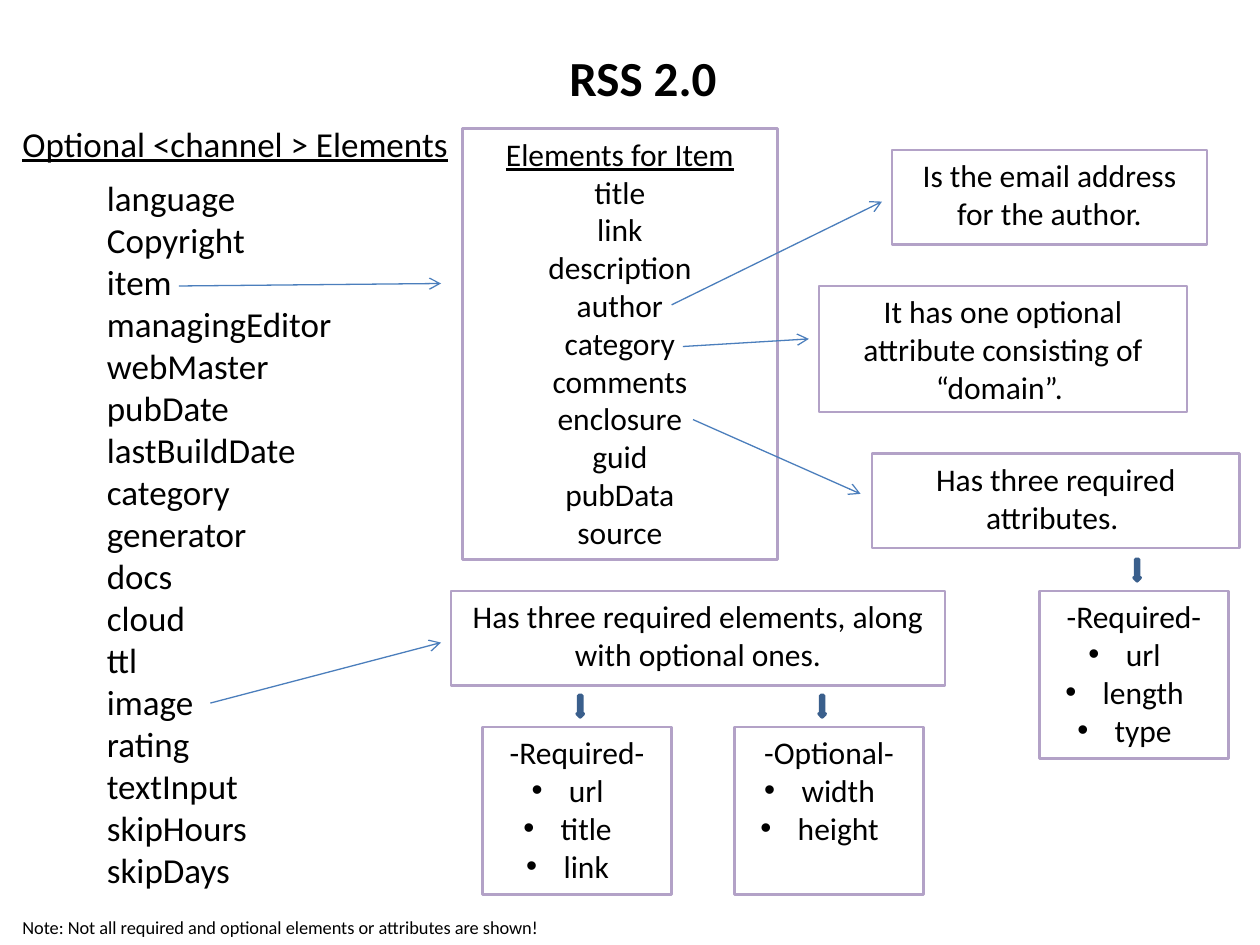
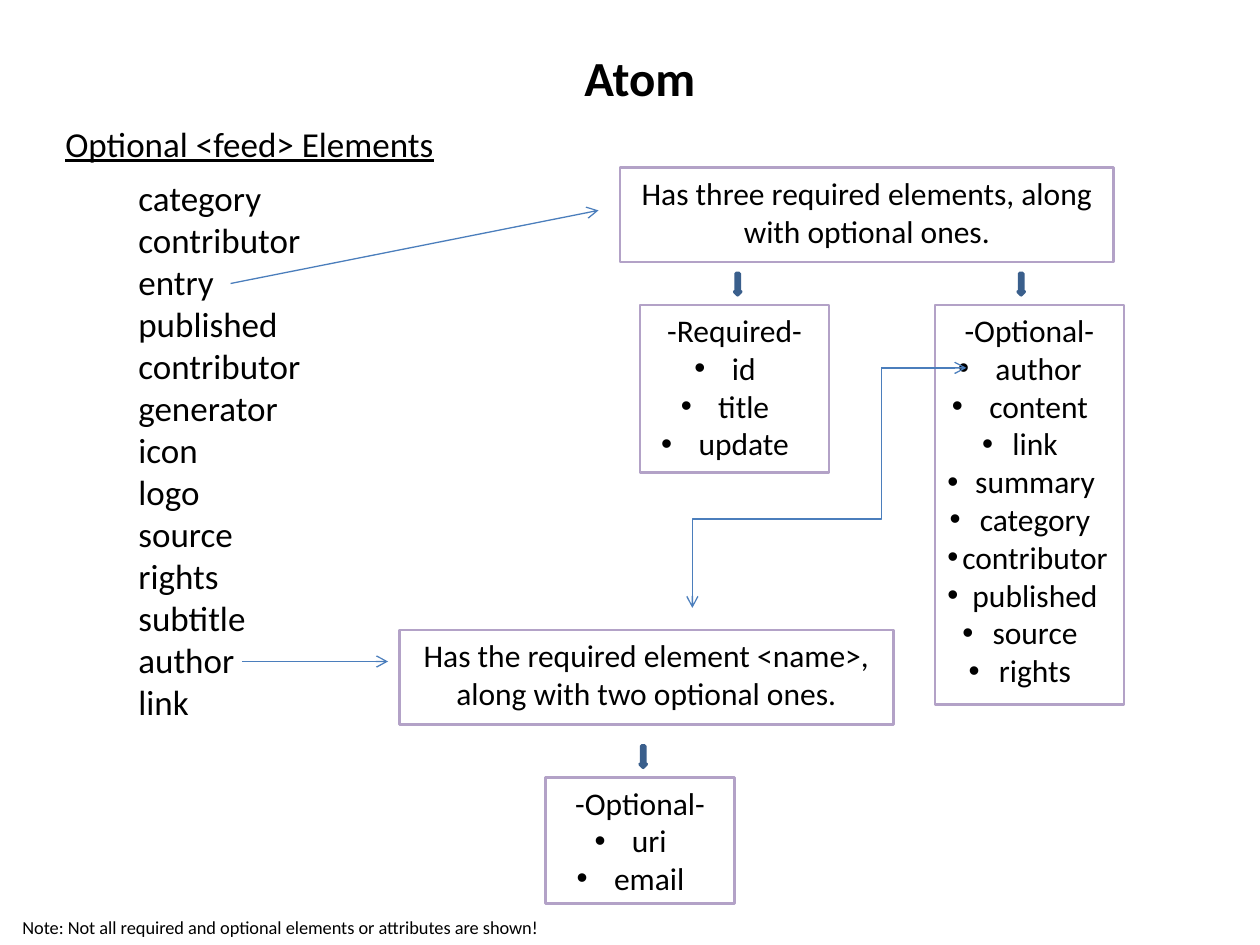
from dataclasses import dataclass

from lxml import etree
from pptx import Presentation
from pptx.dml.color import RGBColor
from pptx.enum import shapes, text
from pptx.oxml import ns
from pptx.util import Inches, Pt

FONT = "Calibri"
BLACK = RGBColor(0x00, 0x00, 0x00)
LILAC = RGBColor(0xB3, 0xA2, 0xC7)
ARROW_BLUE = RGBColor(0x4B, 0x7E, 0xBC)
DROP_FILL = RGBColor(0x4F, 0x81, 0xBD)
DROP_EDGE = RGBColor(0x3A, 0x5F, 0x8C)

TITLE_SIZE, LIST_SIZE, BOX_SIZE, NOTE_SIZE = 28, 20, 18, 10.5
LINE_SPACING = 1.21
BULLET_MARGIN = Inches(0.09)
BULLET_HANG = Inches(0.24)
NOTE = "Note: Not all required and optional elements or attributes are shown!"
THREE_REQUIRED = "Has three required elements, along with optional ones."


@dataclass
class Label:
    left: float
    top: float
    width: float
    lines: list[str]
    size: float
    bold: bool = False
    underline: bool = False


@dataclass
class Box:
    left: float
    top: float
    width: float
    height: float
    lines: list[str]
    bulleted: bool = False
    headed: bool = False


@dataclass
class Arrow:
    start: tuple[float, float]
    end: tuple[float, float]


@dataclass
class Elbow:
    left: float
    top: float
    width: float
    height: float
    turn: int
    bend: float


@dataclass
class Drop:
    left: float
    top: float


@dataclass
class Diagram:
    labels: list[Label]
    boxes: list[Box]
    arrows: list[Arrow]
    drops: list[Drop]
    elbows: list[Elbow]


def title(left: float, width: float, words: str) -> Label:
    return Label(left, 0.33, width, [words], TITLE_SIZE, bold=True)


def heading(left: float, width: float, words: str) -> Label:
    return Label(left, 0.92, width, [words], LIST_SIZE, underline=True)


def element_list(left: float, width: float, words: str) -> Label:
    return Label(left, 1.35, width, words.split(), LIST_SIZE)


def bullet_box(left: float, top: float, height: float, lines: list[str]) -> Box:
    return Box(left, top, 1.5, height, lines, bulleted=True)


RSS = Diagram(
    labels=[
        title(4.42, 1.38, "RSS 2.0"),
        heading(0.08, 3.61, "Optional <channel > Elements"),
        element_list(
            0.75, 2,
            "language Copyright item managingEditor webMaster pubDate "
            "lastBuildDate category generator docs cloud ttl image rating "
            "textInput skipHours skipDays",
        ),
    ],
    boxes=[
        Box(3.67, 1.02, 2.5, 3.42,
            ["Elements for Item", "title", "link", "description", "author",
             "category", "comments", "enclosure", "guid", "pubData", "source"],
            headed=True),
        Box(7.08, 1.19, 2.5, 0.75, ["Is the email address for the author."]),
        Box(6.5, 2.27, 2.92, 1,
            ["It has one optional attribute consisting of “domain”. "]),
        Box(6.92, 3.6, 2.92, 0.75, ["Has three required attributes. "]),
        Box(3.58, 4.69, 3.92, 0.75, [THREE_REQUIRED]),
        bullet_box(3.83, 5.77, 1.33, ["-Required-", " url", " title", " link"]),
        bullet_box(5.83, 5.77, 1.33, ["-Optional-", " width", " height"]),
        bullet_box(8.25, 4.69, 1.33, ["-Required-", " url", " length", " type"]),
    ],
    arrows=[
        Arrow((1.42, 2.27), (3.5, 2.25)),
        Arrow((5.33, 2.42), (7, 1.6)),
        Arrow((5.42, 2.75), (6.42, 2.69)),
        Arrow((5.5, 3.33), (6.83, 3.92)),
        Arrow((1.67, 5.58), (3.5, 5.1)),
    ],
    drops=[Drop(4.58, 5.52), Drop(6.5, 5.52), Drop(9, 4.44)],
    elbows=[],
)

ATOM = Diagram(
    labels=[
        title(4.54, 1.09, "Atom"),
        heading(0.42, 3.16, "Optional <feed> Elements"),
        element_list(
            1, 1.5,
            "category contributor entry published contributor generator icon "
            "logo source rights subtitle author link",
        ),
    ],
    boxes=[
        Box(4.92, 1.33, 3.92, 0.75, [THREE_REQUIRED]),
        bullet_box(5.08, 2.42, 1.33, ["-Required-", " id", " title", " update"]),
        bullet_box(7.42, 2.42, 3.17,
                   ["-Optional-", " author", " content", "link", "summary",
                    "category", "contributor", "published", "source", "rights"]),
        Box(3.17, 5, 3.92, 0.75,
            ["Has the required element <name>, along with two optional ones."]),
        bullet_box(4.33, 6.17, 1, ["-Optional-", " uri", " email"]),
    ],
    arrows=[
        Arrow((1.83, 2.25), (4.75, 1.67)),
        Arrow((1.92, 5.25), (3.08, 5.25)),
        Arrow((7, 2.92), (7.67, 2.92)),
    ],
    drops=[Drop(5.83, 2.17), Drop(8.08, 2.17), Drop(5.08, 5.92)],
    elbows=[Elbow(5.29, 3.12, 1.91, 1.5, turn=90, bend=0.63)],
)


def style_paragraph(para, size: float, bold: bool = False, underline: bool = False) -> None:
    for span in para.runs:
        span.font.name = FONT
        span.font.size = Pt(size)
        span.font.color.rgb = BLACK
        span.font.bold = bold
        span.font.underline = underline


def add_bullet(para) -> None:
    properties = para._p.get_or_add_pPr()
    properties.set("marL", str(BULLET_MARGIN))
    properties.set("indent", str(-BULLET_HANG))
    etree.SubElement(properties, ns.qn("a:buFont")).set("typeface", "Arial")
    etree.SubElement(properties, ns.qn("a:buChar")).set("char", "•")


def draw_label(page, label: Label) -> None:
    height = len(label.lines) * label.size * LINE_SPACING / 72 + 0.1
    box = page.shapes.add_textbox(
        Inches(label.left), Inches(label.top), Inches(label.width), Inches(height))
    frame = box.text_frame
    frame.word_wrap = False
    frame.auto_size = text.MSO_AUTO_SIZE.SHAPE_TO_FIT_TEXT
    frame.text = "\n".join(label.lines)
    for para in frame.paragraphs:
        style_paragraph(para, label.size, label.bold, label.underline)


def draw_box(page, box: Box) -> None:
    shape = page.shapes.add_shape(
        shapes.MSO_SHAPE.RECTANGLE, Inches(box.left), Inches(box.top),
        Inches(box.width), Inches(box.height))
    shape.shadow.inherit = False
    shape.fill.background()
    shape.line.color.rgb = LILAC
    shape.line.width = Pt(1.5)
    frame = shape.text_frame
    frame.word_wrap = True
    frame.vertical_anchor = text.MSO_ANCHOR.TOP
    frame.text = "\n".join(box.lines)
    for row, para in enumerate(frame.paragraphs):
        para.alignment = text.PP_ALIGN.CENTER
        style_paragraph(para, BOX_SIZE, underline=box.headed and row == 0)
        if box.bulleted and row > 0:
            add_bullet(para)


def style_connector(connector) -> None:
    connector.line.color.rgb = ARROW_BLUE
    connector.line.width = Pt(0.75)
    properties = connector._element.spPr
    outline = properties.find(ns.qn("a:ln"))
    etree.SubElement(outline, ns.qn("a:tailEnd")).set("type", "arrow")
    etree.SubElement(properties, ns.qn("a:effectLst"))


def draw_arrow(page, arrow: Arrow) -> None:
    points = [Inches(value) for value in (*arrow.start, *arrow.end)]
    style_connector(page.shapes.add_connector(shapes.MSO_CONNECTOR.STRAIGHT, *points))


def draw_elbow(page, elbow: Elbow) -> None:
    connector = page.shapes.add_connector(
        shapes.MSO_CONNECTOR.ELBOW, Inches(elbow.left), Inches(elbow.top),
        Inches(elbow.left + elbow.width), Inches(elbow.top + elbow.height))
    properties = connector._element.spPr
    properties.find(ns.qn("a:xfrm")).set("rot", str(elbow.turn * 60000))
    guides = properties.find(ns.qn("a:prstGeom")).find(ns.qn("a:avLst"))
    guide = etree.SubElement(guides, ns.qn("a:gd"))
    guide.set("name", "adj1")
    guide.set("fmla", f"val {round(elbow.bend * 100000)}")
    style_connector(connector)


def draw_drop(page, drop: Drop) -> None:
    shape = page.shapes.add_shape(
        shapes.MSO_SHAPE.DOWN_ARROW, Inches(drop.left), Inches(drop.top),
        Inches(0.05), Inches(0.17))
    shape.shadow.inherit = False
    shape.fill.solid()
    shape.fill.fore_color.rgb = DROP_FILL
    shape.line.color.rgb = DROP_EDGE
    shape.line.width = Pt(2)


def draw_diagram(deck, diagram: Diagram) -> None:
    page = deck.slides.add_slide(deck.slide_layouts[6])
    for label in [*diagram.labels, Label(0.08, 7.22, 4.37, [NOTE], NOTE_SIZE)]:
        draw_label(page, label)
    for box in diagram.boxes:
        draw_box(page, box)
    for arrow in diagram.arrows:
        draw_arrow(page, arrow)
    for drop in diagram.drops:
        draw_drop(page, drop)
    for elbow in diagram.elbows:
        draw_elbow(page, elbow)


def main() -> None:
    deck = Presentation()
    deck.slide_width, deck.slide_height = Inches(10), Inches(7.5)
    for diagram in (RSS, ATOM):
        draw_diagram(deck, diagram)
    deck.save("out.pptx")


if __name__ == "__main__":
    main()
